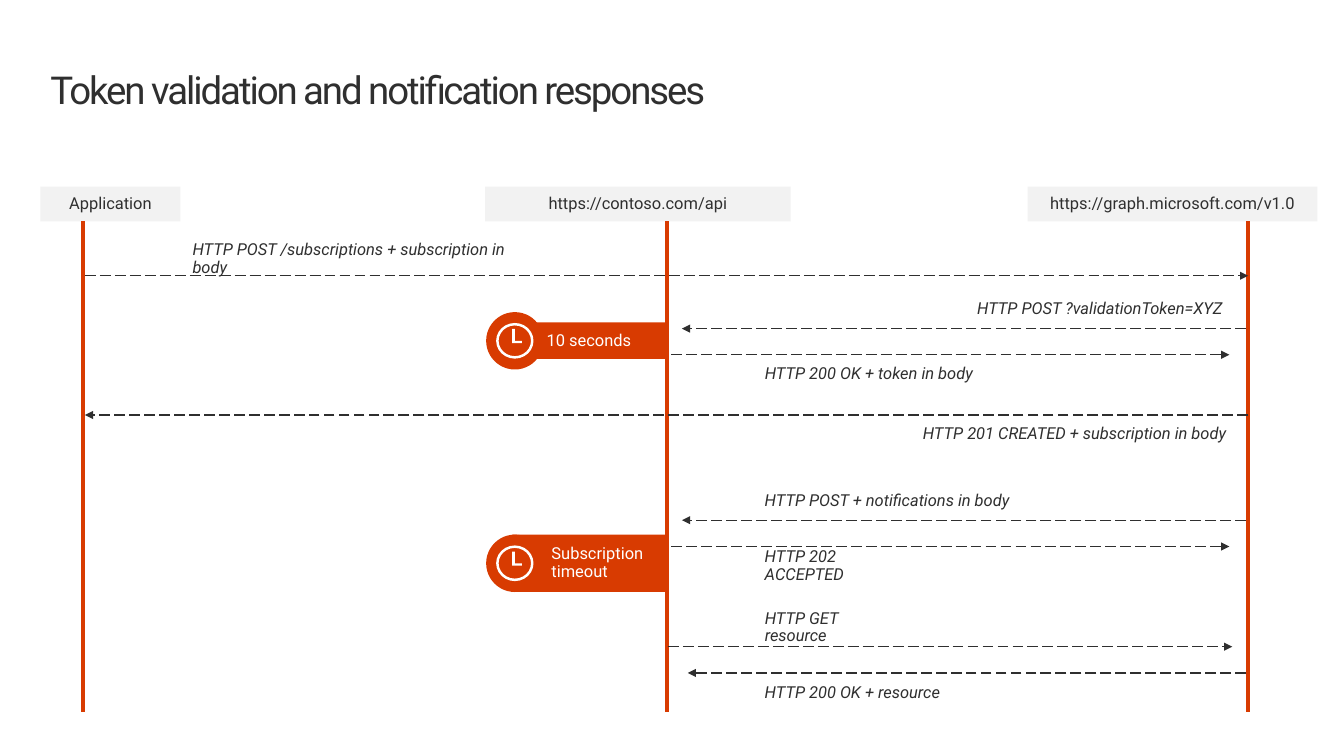
from dataclasses import dataclass
from lxml.etree import SubElement
from pptx import Presentation
from pptx.dml.color import RGBColor
from pptx.enum.dml import MSO_LINE
from pptx.enum.shapes import MSO_CONNECTOR, MSO_SHAPE
from pptx.enum.text import MSO_ANCHOR, MSO_AUTO_SIZE, PP_ALIGN
from pptx.oxml.ns import qn
from pptx.util import Pt

# Content
TITLE = "Token validation and notification responses"
# Participant: name, header left, header width, lifeline x
PARTICIPANTS = [
    ("Application", 29.5, 102, 60.5),
    ("https://contoso.com/api", 353.5, 222.5, 486),
    ("https://graph.microsoft.com/v1.0", 748.8, 211, 909.4),
]
# Message: text, from x, to x, y, label left, label top, label width
MESSAGES = [
    ("HTTP POST /subscriptions + subscription in body", 61.9, 909.4, 200.9, 133.2, 175, 268.6),
    ("HTTP POST ?validationToken=XYZ", 907.9, 496.8, 239.4, 704.9, 211.7, 194.4),
    ("HTTP 200 OK + token in body", 488.9, 895.7, 258.5, 550.1, 259.2, 171.4),
    ("HTTP 201 CREATED + subscription in body", 909.4, 61.9, 302.4, 665.3, 302.4, 236.9),
    ("HTTP POST + notifications in body", 907.9, 496.8, 379, 550.1, 351.4, 194.4),
    ("HTTP 202 ACCEPTED", 488.9, 895.7, 398.2, 550.1, 398.9, 125.3),
    ("HTTP GET resource", 486.7, 897.8, 471.2, 550.1, 443.5, 113.8),
    ("HTTP 200 OK + resource", 907.9, 501.1, 490.3, 550.1, 491, 144),
]
# Timer: lines, centre y, bar height, left inset, alignment
TIMERS = [
    (["10 seconds"], 248.3, 26.6, 14.4, PP_ALIGN.CENTER),
    (["Subscription", "timeout"], 410.4, 41.8, 28.8, PP_ALIGN.LEFT),
]


@dataclass(frozen=True)
class Theme:
    font: str = "Roboto"
    ink: RGBColor = RGBColor(0x2F, 0x2F, 0x2F)
    accent: RGBColor = RGBColor(0xD8, 0x3B, 0x01)
    panel: RGBColor = RGBColor(0xF2, 0xF2, 0xF2)
    white: RGBColor = RGBColor(0xFF, 0xFF, 0xFF)
    title: int = 28
    body: int = 12


T = Theme()

# Layout
HEADER_TOP, HEADER_H = 136, 25.4
LIFELINE_TOP, LIFELINE_END = HEADER_TOP + HEADER_H, 518.4
LABEL_H = 27.4
BAR_LEFT, BAR_W = 373, 112.3
CLOCK_X, CLOCK_SIZE = 375.1, 41.8
RING_W, RING_H, RING_LINE = 27.2, 26, 0.07
HANDS = [(0, 0), (0, -8.6), (-1.9, -8.6), (-1.9, 1.7), (5.2, 1.7), (5.2, 0)]

prs = Presentation()
prs.slide_width, prs.slide_height = Pt(979.2), Pt(550.8)
slide = prs.slides.add_slide(prs.slide_layouts[5])


def style(p, size, color, align=PP_ALIGN.LEFT, spacing=0.9, italic=False):
    p.alignment, p.line_spacing = align, spacing
    f = p.font
    f.name, f.size, f.italic = T.font, Pt(size), italic
    f.color.rgb = color


def frame(sp, left, top, right, bottom, anchor=MSO_ANCHOR.MIDDLE):
    tf = sp.text_frame
    tf.word_wrap, tf.auto_size = True, MSO_AUTO_SIZE.NONE
    tf.vertical_anchor = anchor
    tf.margin_left, tf.margin_top = Pt(left), Pt(top)
    tf.margin_right, tf.margin_bottom = Pt(right), Pt(bottom)
    return tf


def paint(sp, color):
    sp.shadow.inherit = False
    sp.fill.solid()
    sp.fill.fore_color.rgb = color
    sp.line.fill.background()


def shape(shapes, kind, x, y, w, h, color):
    sp = shapes.add_shape(kind, Pt(x), Pt(y), Pt(w), Pt(h))
    paint(sp, color)
    return sp


def panel(lines, x, y, w, h, fill, color, align=PP_ALIGN.CENTER, inset=14.4):
    sp = shape(slide.shapes, MSO_SHAPE.RECTANGLE, x, y, w, h, fill)
    tf = frame(sp, inset, 11.5, 14.4, 11.5)
    for i, line in enumerate(lines):
        p = tf.add_paragraph() if i else tf.paragraphs[0]
        p.text = line
        style(p, T.body, color, align)


def line(x1, y1, x2, y2, color, width):
    cn = slide.shapes.add_connector(MSO_CONNECTOR.STRAIGHT, Pt(x1), Pt(y1), Pt(x2), Pt(y2))
    cn.line.color.rgb, cn.line.width = color, Pt(width)
    SubElement(cn._element.spPr, qn("a:effectLst"))
    return cn


def clock(cy):
    shapes = slide.shapes.add_group_shape().shapes
    for kind, w, h, color in [
        (MSO_SHAPE.OVAL, CLOCK_SIZE, CLOCK_SIZE, T.accent),
        (MSO_SHAPE.DONUT, RING_W, RING_H, T.white),
    ]:
        sp = shape(shapes, kind, CLOCK_X - w / 2, cy - h / 2, w, h, color)
        if kind == MSO_SHAPE.DONUT:
            sp.adjustments[0] = RING_LINE
    points = [(Pt(CLOCK_X + dx), Pt(cy + dy)) for dx, dy in HANDS]
    fb = shapes.build_freeform(*points[0])
    fb.add_line_segments(points[1:], close=True)
    paint(fb.convert_to_shape(), T.white)


# Title
title = slide.shapes.title
title.left, title.top, title.width, title.height = Pt(36.7), Pt(49.7), Pt(908), Pt(32.4)
tf = frame(title, 0, 0, 0, 0, MSO_ANCHOR.TOP)
tf.text = TITLE
p = tf.paragraphs[0]
style(p, T.title, T.ink, spacing=Pt(32))
p.runs[0].font._element.set("spc", "-150")

# Participants and lifelines
for name, left, width, x in PARTICIPANTS:
    panel([name], left, HEADER_TOP, width, HEADER_H, T.panel, T.ink)
    line(x, LIFELINE_TOP, x, LIFELINE_END, T.accent, 3)

# Messages
for text, x1, x2, y, left, top, width in MESSAGES:
    cn = line(x1, y, x2, y, T.ink, 1)
    cn.line.dash_style = MSO_LINE.LONG_DASH
    SubElement(cn.line._get_or_add_ln(), qn("a:tailEnd"), type="triangle")
    sp = slide.shapes.add_textbox(Pt(left), Pt(top), Pt(width), Pt(LABEL_H))
    tf = frame(sp, 7.2, 7.2, 7.2, 7.2)
    tf.text = text
    style(tf.paragraphs[0], T.body, T.ink, italic=True)

# Timers
for lines, cy, height, inset, align in TIMERS:
    panel(lines, BAR_LEFT, cy - height / 2, BAR_W, height, T.accent, T.white, align, inset)
    clock(cy)

prs.save("out.pptx")
